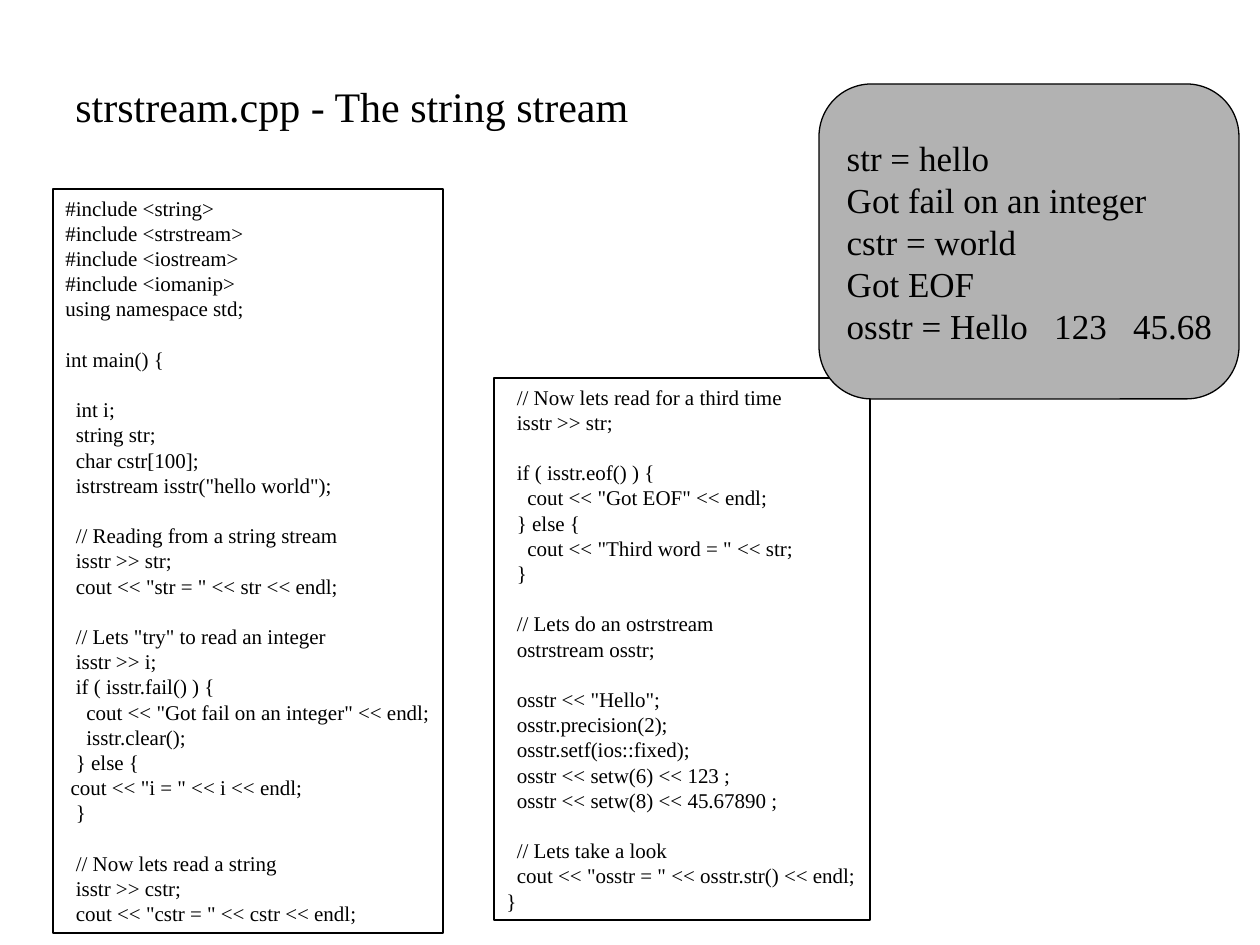
"""Build the string stream slide: two code listings, the program output and a title."""
from pptx import Presentation
from pptx.dml.color import RGBColor
from pptx.enum.shapes import MSO_SHAPE
from pptx.enum.text import MSO_ANCHOR, PP_ALIGN
from pptx.util import Emu, Pt

SETUP_CODE = '''#include <string>
#include <strstream>
#include <iostream>
#include <iomanip>
using namespace std;

int main() {

  int i;
  string str;
  char cstr[100];
  istrstream isstr("hello world");

  // Reading from a string stream
  isstr >> str;
  cout << "str = " << str << endl;

  // Lets "try" to read an integer
  isstr >> i;
  if ( isstr.fail() ) {
    cout << "Got fail on an integer" << endl;
    isstr.clear();
  } else {
 cout << "i = " << i << endl;
  }

  // Now lets read a string
  isstr >> cstr;
  cout << "cstr = " << cstr << endl;'''

OUTPUT_CODE = '''  // Now lets read for a third time
  isstr >> str;

  if ( isstr.eof() ) {
    cout << "Got EOF" << endl;
  } else {
    cout << "Third word = " << str;
  }

  // Lets do an ostrstream
  ostrstream osstr;

  osstr << "Hello";
  osstr.precision(2);
  osstr.setf(ios::fixed);
  osstr << setw(6) << 123 ;
  osstr << setw(8) << 45.67890 ;

  // Lets take a look
  cout << "osstr = " << osstr.str() << endl;
}'''

RESULT = '''str = hello
Got fail on an integer
cstr = world
Got EOF
osstr = Hello   123   45.68'''


def px(n):
    return Emu(round(n * 914400 / 126))


def rgb(color):
    return RGBColor.from_string(color)


class Deck:
    """Holds the style and the current slide."""

    font = "Times New Roman"
    ink = "000000"
    leading = 1.2
    space_width = 0.25

    def __init__(self):
        self.prs = Presentation()
        self.prs.slide_width, self.prs.slide_height = px(1260), px(945)
        self.s = self.prs.slides.add_slide(self.prs.slide_layouts[6])

    def add_lines(self, sp, text, size, anchor=MSO_ANCHOR.TOP):
        tf = sp.text_frame
        tf.word_wrap = False
        tf.vertical_anchor = anchor
        pitch = Pt(size * self.leading)
        p, gap = tf.paragraphs[0], 0
        for n, line in enumerate(text.split("\n")):
            code = line.lstrip()
            if not code:
                gap += pitch
                continue
            if n:
                p = tf.add_paragraph()
            p.alignment = PP_ALIGN.LEFT
            p.line_spacing = pitch
            p.space_before = Emu(gap)
            indent = len(line) - len(code)
            if indent:
                p._p.get_or_add_pPr().set("marL", str(Pt(indent * size * self.space_width)))
            r = p.add_run()
            r.text = code
            r.font.name, r.font.size = self.font, Pt(size)
            r.font.color.rgb = rgb(self.ink)
            gap = 0

    def box(self, kind, x, y, w, h, fill=None):
        sp = self.s.shapes.add_shape(kind, px(x), px(y), px(w), px(h))
        sp.shadow.inherit = False
        if fill:
            sp.fill.solid()
            sp.fill.fore_color.rgb = rgb(fill)
        else:
            sp.fill.background()
        sp.line.color.rgb = rgb(self.ink)
        sp.line.width = Pt(0.75)
        return sp

    def listing(self, x, y, w, h, code):
        self.add_lines(self.box(MSO_SHAPE.RECTANGLE, x, y, w, h), code, 12)

    def result(self, x, y, w, h, text):
        sp = self.box(MSO_SHAPE.ROUNDED_RECTANGLE, x, y, w, h, "B2B2B2")
        self.add_lines(sp, text, 20, MSO_ANCHOR.MIDDLE)

    def title(self, x, y, w, h, text):
        sp = self.s.shapes.add_textbox(px(x), px(y), px(w), px(h))
        self.add_lines(sp, text, 24)


def main():
    deck = Deck()
    deck.listing(53, 189, 390, 744, SETUP_CODE)
    deck.listing(494, 378, 376, 542, OUTPUT_CODE)
    deck.result(819, 84, 420, 315, RESULT)
    deck.title(63, 74, 578, 63, "strstream.cpp - The string stream")
    deck.prs.save("out.pptx")


if __name__ == "__main__":
    main()
